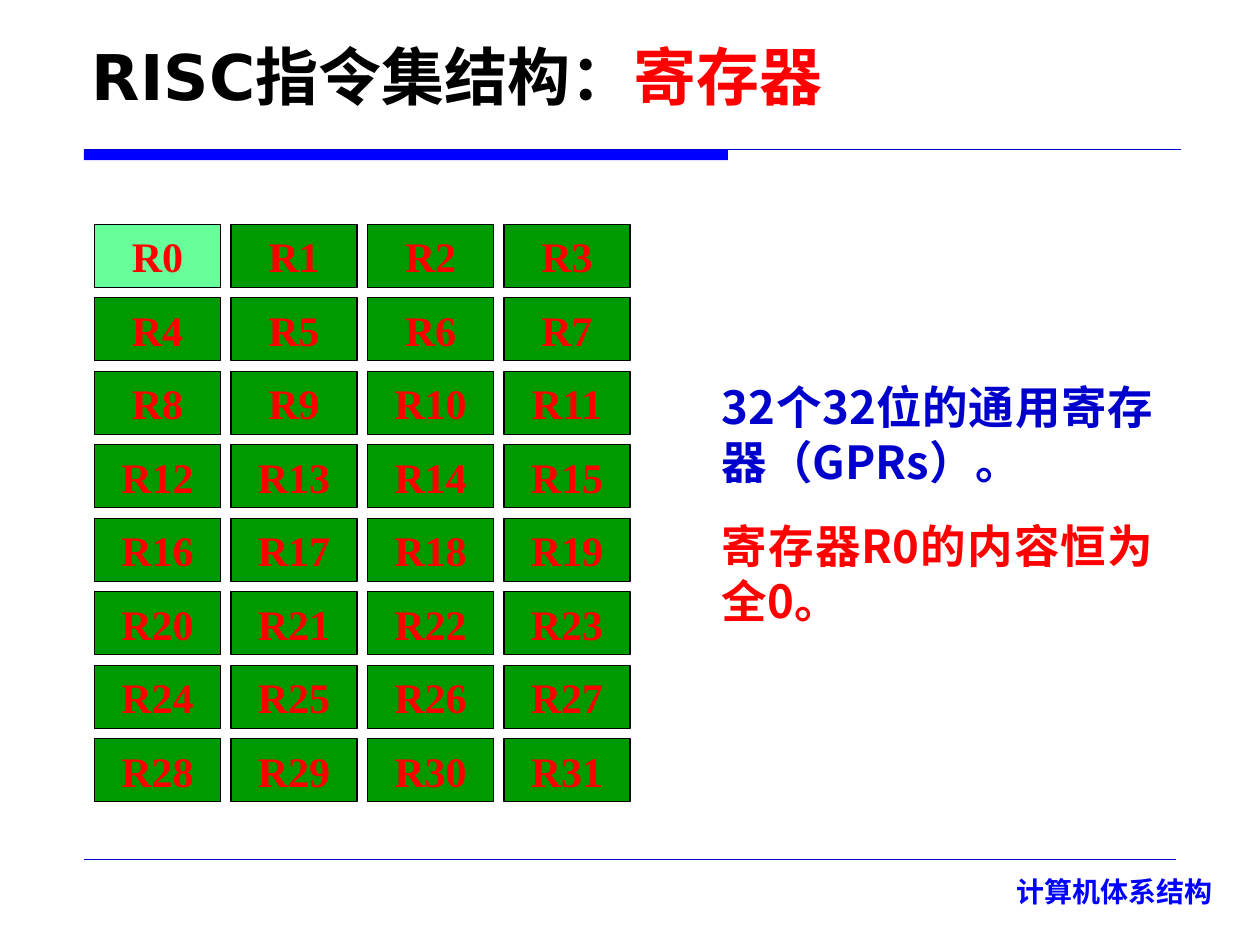
from lxml.etree import SubElement
from pptx import Presentation
from pptx.dml.color import RGBColor
from pptx.enum.shapes import MSO_CONNECTOR, MSO_SHAPE
from pptx.enum.text import MSO_ANCHOR, PP_ALIGN
from pptx.oxml.ns import qn
from pptx.util import Pt

COLORS = {
    "black": "000000",
    "red": "FF0000",
    "blue": "0000FF",
    "dark_blue": "0000CC",
    "green": "009900",
    "light_green": "66FF99",
}
CJK_FONT = "Noto Sans CJK SC"
COLUMNS, REGISTERS = 4, 32


def color(name):
    """Return the named colour."""
    return RGBColor.from_string(COLORS[name])


def write_text(frame, paragraphs, size, font=CJK_FONT, align=PP_ALIGN.LEFT,
               anchor=MSO_ANCHOR.TOP, gap=0, line_spacing=None):
    """Fill a text frame with paragraphs, each a list of (text, colour) runs."""
    frame.word_wrap = True
    frame.vertical_anchor = anchor
    for index, runs in enumerate(paragraphs):
        paragraph = frame.add_paragraph() if index else frame.paragraphs[0]
        paragraph.alignment = align
        if index:
            paragraph.space_before = Pt(gap)
        if line_spacing:
            paragraph.line_spacing = line_spacing
        for text, color_name in runs:
            run = paragraph.add_run()
            run.text = text
            run.font.size = Pt(size)
            run.font.bold = True
            run.font.name = font
            run.font.color.rgb = color(color_name)
            SubElement(run.font._element, qn("a:ea"), typeface=CJK_FONT)


def add_text(slide, left, top, width, height, paragraphs, size, **text_format):
    """Add a text box."""
    box = slide.shapes.add_textbox(Pt(left), Pt(top), Pt(width), Pt(height))
    write_text(box.text_frame, paragraphs, size, **text_format)


def add_rectangle(slide, left, top, width, height, fill, line=None):
    """Add a filled rectangle, outlined when a line colour is given."""
    shape = slide.shapes.add_shape(
        MSO_SHAPE.RECTANGLE, Pt(left), Pt(top), Pt(width), Pt(height))
    shape.shadow.inherit = False
    shape.fill.solid()
    shape.fill.fore_color.rgb = color(fill)
    if line:
        shape.line.color.rgb = color(line)
        shape.line.width = Pt(0.75)
    else:
        shape.line.fill.background()
    return shape


def add_rule(slide, left, right, top, weight):
    """Add a horizontal rule."""
    rule = slide.shapes.add_connector(
        MSO_CONNECTOR.STRAIGHT, Pt(left), Pt(top), Pt(right), Pt(top))
    rule.line.color.rgb = color("dark_blue")
    rule.line.width = Pt(weight)
    SubElement(rule._element.spPr, qn("a:effectLst"))


def add_registers(slide):
    """Add the grid of registers, with R0 highlighted."""
    for number in range(REGISTERS):
        row, column = divmod(number, COLUMNS)
        cell = add_rectangle(
            slide, 54 + 78 * column, 128.2 + 42 * row, 72, 36,
            "green" if number else "light_green", line="black")
        write_text(cell.text_frame, [[(f"R{number}", "red")]], 24,
                   font="Times New Roman", align=PP_ALIGN.CENTER)


def main():
    """Build and save the slide."""
    presentation = Presentation()
    presentation.slide_width = Pt(720)
    presentation.slide_height = Pt(540)
    slide = presentation.slides.add_slide(presentation.slide_layouts[6])

    add_rectangle(slide, 48, 85.5, 368, 6, "blue")
    add_rule(slide, 48, 674.6, 85.5, 0.5)
    add_rule(slide, 48, 672, 491, 0.25)
    add_text(slide, 523.5, 496, 176.4, 31, [[("计算机体系结构", "blue")]], 16,
             align=PP_ALIGN.RIGHT)
    add_text(slide, 45.4, 15, 468, 53.3,
             [[("RISC指令集结构：", "black"), ("寄存器", "red")]], 36,
             font="DejaVu Sans", anchor=MSO_ANCHOR.BOTTOM)
    add_registers(slide)
    add_text(slide, 405.4, 213, 260.6, 148.3,
             [[("32个32位的通用寄存器（GPRs）。", "dark_blue")],
              [("寄存器R0的内容恒为全0。", "red")]], 26,
             align=PP_ALIGN.JUSTIFY, gap=16.2, line_spacing=Pt(31.4))
    presentation.save("out.pptx")


if __name__ == "__main__":
    main()
